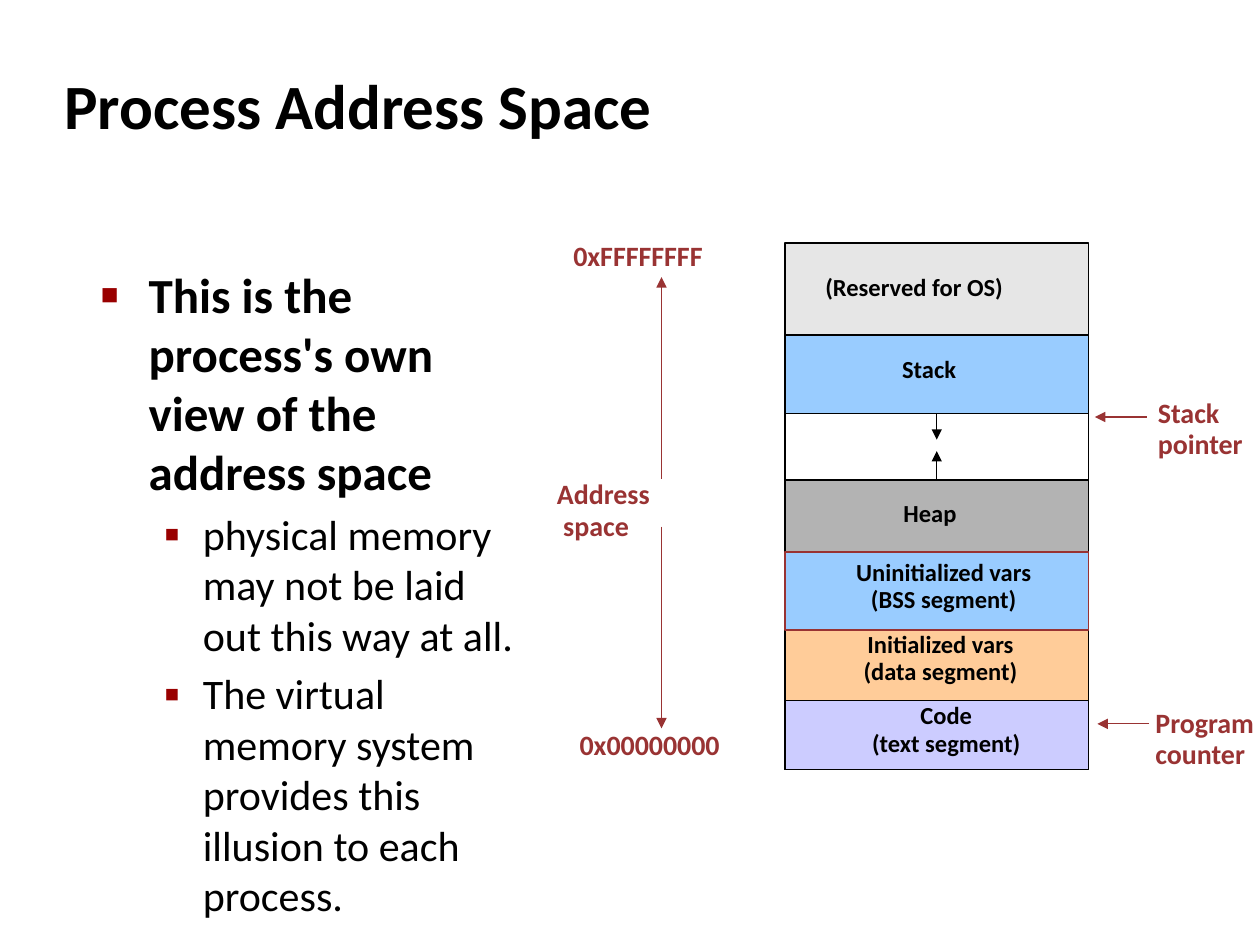
from lxml.etree import SubElement
from pptx import Presentation
from pptx.dml.color import RGBColor
from pptx.enum.shapes import MSO_CONNECTOR, MSO_SHAPE
from pptx.enum.text import MSO_ANCHOR, MSO_AUTO_SIZE, PP_ALIGN
from pptx.oxml.ns import qn
from pptx.util import Inches, Pt

BLACK = RGBColor(0x00, 0x00, 0x00)
MAROON = RGBColor(0x99, 0x33, 0x33)
BULLET_RED = RGBColor(0x99, 0x00, 0x00)
BLUE = RGBColor(0x99, 0xCC, 0xFF)
LILAC = RGBColor(0xCC, 0xCC, 0xFF)
ORANGE = RGBColor(0xFF, 0xCC, 0x99)
GRAY = RGBColor(0xB3, 0xB3, 0xB3)
PALE_GRAY = RGBColor(0xE6, 0xE6, 0xE6)
WHITE = RGBColor(0xFF, 0xFF, 0xFF)

COLUMNS, ROWS = 100, 75
MEMORY_LEFT, MEMORY_WIDTH = 62.3, 24.1
RANGE_X = 52.5


class SlideBuilder:
    """Holds the style and the slide; lengths are grid columns and rows."""

    font_name = "Calibri"
    line_width = Pt(0.75)
    line_spacing = 0.93

    def __init__(self, deck):
        self.cell_width = deck.slide_width / COLUMNS
        self.cell_height = deck.slide_height / ROWS
        self.slide = deck.slides.add_slide(deck.slide_layouts[1])

    def grid(self, column, row):
        return round(column * self.cell_width), round(row * self.cell_height)

    def move(self, shape, column, row, width, height):
        shape.left, shape.top = self.grid(column, row)
        shape.width, shape.height = self.grid(width, height)

    def style(self, paragraph, size, color=BLACK, bold=True):
        for run in paragraph.runs:
            run.font.name = self.font_name
            run.font.size = Pt(size)
            run.font.bold = bold
            run.font.color.rgb = color

    def title(self, wording, *place):
        heading = self.slide.shapes.title
        self.move(heading, *place)
        frame = heading.text_frame
        frame.text = wording
        frame.vertical_anchor = MSO_ANCHOR.MIDDLE
        frame.auto_size = MSO_AUTO_SIZE.NONE
        frame.paragraphs[0].alignment = PP_ALIGN.LEFT
        self.style(frame.paragraphs[0], 36)

    def bullets(self, points, *place):
        """Fill the body with (level, wording) pairs."""
        body = self.slide.placeholders[1]
        self.move(body, *place)
        frame = body.text_frame
        frame.auto_size = MSO_AUTO_SIZE.NONE
        looks = [(28, True, 0.38, 0.38, "■", 60), (24, False, 0.81, 0.31, "▪", 110)]
        for index, (level, wording) in enumerate(points):
            size, bold, margin, hanging, mark, percent = looks[level]
            paragraph = frame.paragraphs[0] if index == 0 else frame.add_paragraph()
            paragraph.text = wording
            paragraph.level = level
            paragraph.space_before = Pt(0.2 * size if index else 0)
            self.add_bullet(paragraph, margin, hanging, mark, percent)
            self.style(paragraph, size, bold=bold)

    def add_bullet(self, paragraph, margin, hanging, mark, percent):
        properties = paragraph._p.get_or_add_pPr()
        properties.set("marL", str(Inches(margin)))
        properties.set("indent", str(-Inches(hanging)))
        bullet_color = SubElement(properties, qn("a:buClr"))
        SubElement(bullet_color, qn("a:srgbClr"), val=str(BULLET_RED))
        SubElement(properties, qn("a:buSzPct"), val=str(percent * 1000))
        SubElement(properties, qn("a:buFont"), typeface="Arial")
        SubElement(properties, qn("a:buChar"), char=mark)

    def band(self, top, bottom, fill, line=BLACK):
        """Draw one region of memory between two rows."""
        region = self.slide.shapes.add_shape(
            MSO_SHAPE.RECTANGLE, *self.grid(MEMORY_LEFT, top),
            *self.grid(MEMORY_WIDTH, bottom - top))
        region.shadow.inherit = False
        region.fill.solid()
        region.fill.fore_color.rgb = fill
        region.line.color.rgb = line
        region.line.width = self.line_width
        return region

    def label(self, wording, column, row, width, height,
              size=14, color=BLACK, align=PP_ALIGN.LEFT):
        box = self.slide.shapes.add_textbox(
            *self.grid(column, row), *self.grid(width, height))
        frame = box.text_frame
        frame.margin_left = frame.margin_right = 0
        frame.margin_top = frame.margin_bottom = 0
        frame.word_wrap = False
        frame.text = wording
        for paragraph in frame.paragraphs:
            paragraph.alignment = align
            paragraph.line_spacing = self.line_spacing
            self.style(paragraph, size, color)
        return frame

    def arrow(self, start, end, color=MAROON):
        connector = self.slide.shapes.add_connector(
            MSO_CONNECTOR.STRAIGHT, *self.grid(*start), *self.grid(*end))
        connector.line.color.rgb = color
        connector.line.width = self.line_width
        SubElement(connector.line._get_or_add_ln(), qn("a:tailEnd"), type="triangle")
        SubElement(connector._element.spPr, qn("a:effectLst"))
        return connector


def draw_memory(builder):
    builder.band(19.3, 61.1, WHITE)
    stack = builder.band(26.6, 32.8, BLUE)
    builder.band(55.6, 61.1, LILAC)
    builder.band(50, 55.6, ORANGE)
    heap = builder.band(38.1, 43.8, GRAY)
    builder.band(43.8, 50, BLUE, MAROON)
    builder.band(19.3, 26.6, PALE_GRAY)

    middle = MEMORY_LEFT + MEMORY_WIDTH / 2
    stack_growth = builder.arrow((middle, 32.8), (middle, 34.9), BLACK)
    stack_growth.begin_connect(stack, 2)
    heap_growth = builder.arrow((middle, 38.1), (middle, 35.8), BLACK)
    heap_growth.begin_connect(heap, 0)

    builder.label("(Reserved for OS)", 65.5, 21.8, 19, 2.6)
    builder.label("Stack", 71.6, 28.3, 5.9, 2.6)
    builder.label("Heap", 71.7, 39.7, 5.8, 2.6)
    for wording, column, row, width in [
        ("Uninitialized vars\n(BSS segment)", 65.3, 44.4, 19.2),
        ("Initialized vars\n(data segment)", 66.5, 50.1, 16.3),
        ("Code\n(text segment)", 67.2, 55.8, 15.8),
    ]:
        builder.label(wording, column, row, width, 5.3, align=PP_ALIGN.CENTER)


def draw_annotations(builder):
    for wording, column, row, width, height in [
        ("0xFFFFFFFF", 45.5, 19.2, 14.4, 2.6),
        ("0x00000000", 46, 58, 13.6, 2.6),
        ("Stack\npointer", 91.9, 31.6, 8, 5),
        ("Program\ncounter", 91.7, 56.2, 8.2, 5),
    ]:
        builder.label(wording, column, row, width, height, 16, MAROON)
    range_name = builder.label("Address\nspace", 44.2, 38.1, 16.1, 5, 16, MAROON)
    range_name.paragraphs[1]._p.get_or_add_pPr().set("marL", str(Inches(0.05)))

    builder.arrow((RANGE_X, 38), (RANGE_X, 22))
    builder.arrow((RANGE_X, 41.8), (RANGE_X, 57.8))
    builder.arrow((91, 33.1), (86.9, 33.1))
    builder.arrow((91.2, 57.45), (87.1, 57.45))


def main():
    deck = Presentation()
    deck.slide_width, deck.slide_height = Inches(10), Inches(7.5)
    builder = SlideBuilder(deck)
    builder.title("Process Address Space", 4.1, 4.1, 83, 8.3)
    builder.bullets([
        (0, "This is the process's own view of the address space"),
        (1, "physical memory may not be laid out this way at all."),
        (1, "The virtual memory system provides this illusion to each process."),
    ], 7, 20.5, 36.3, 48.8)
    draw_memory(builder)
    draw_annotations(builder)
    deck.save("out.pptx")


if __name__ == "__main__":
    main()
